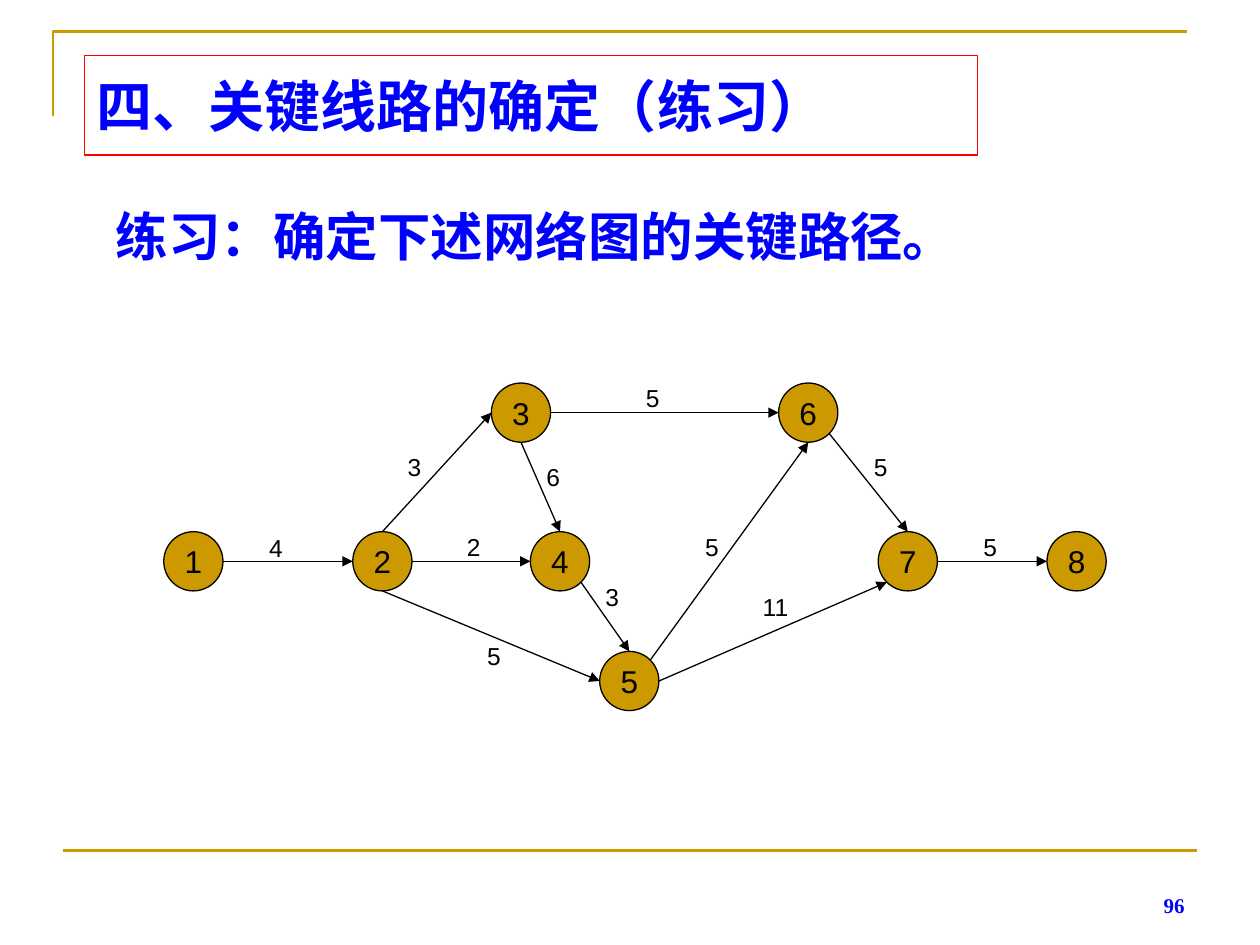
"""Build the critical path exercise slide with its activity network."""
import math
from dataclasses import dataclass
from typing import Any

import lxml.etree
import pptx
import pptx.dml.color
import pptx.enum.shapes
import pptx.enum.text
import pptx.oxml.ns
import pptx.util

Inches = pptx.util.Inches
Pt = pptx.util.Pt
Align = pptx.enum.text.PP_ALIGN
Anchor = pptx.enum.text.MSO_ANCHOR
Shape = pptx.enum.shapes.MSO_SHAPE

GOLD = pptx.dml.color.RGBColor(0xCC, 0x99, 0x00)
BLACK = pptx.dml.color.RGBColor(0x00, 0x00, 0x00)
BLUE = pptx.dml.color.RGBColor(0x00, 0x00, 0xFF)
RED = pptx.dml.color.RGBColor(0xFF, 0x00, 0x00)

DIAMETER = 0.47
DIAGONAL = math.sqrt(0.5)
LABEL_HEIGHT = 0.23
SIDES = {
    "left": (-1, 0),
    "right": (1, 0),
    "top": (0, -1),
    "bottom": (0, 1),
    "top right": (DIAGONAL, -DIAGONAL),
    "bottom right": (DIAGONAL, DIAGONAL),
    "bottom left": (-DIAGONAL, DIAGONAL),
}


@dataclass(frozen=True)
class TextStyle:
    size: float
    color: Any
    font: str = "Arial"
    bold: bool = False
    align: Any = Align.LEFT
    anchor: Any = Anchor.TOP
    wrap: bool = True
    inset_x: float = 0.1
    inset_y: float = 0.05


@dataclass(frozen=True)
class Node:
    name: str
    left: float
    top: float

    def point(self, side: str) -> tuple[float, float]:
        """Return the point of the circle on the given side."""
        across, down = SIDES[side]
        radius = DIAMETER / 2
        return self.left + radius * (1 + across), self.top + radius * (1 + down)


@dataclass(frozen=True)
class Activity:
    start: str
    start_side: str
    end: str
    end_side: str
    duration: str
    label_left: float
    label_top: float
    label_width: float = 0.2


TITLE = TextStyle(32, BLUE, bold=True, anchor=Anchor.MIDDLE)
QUESTION = TextStyle(30, BLUE, bold=True)
NUMBER = TextStyle(12, BLUE, "Times New Roman", True, Align.RIGHT, Anchor.BOTTOM)
NODE = TextStyle(18, BLACK, align=Align.CENTER, anchor=Anchor.MIDDLE, wrap=False)
DURATION = TextStyle(14, BLACK, align=Align.CENTER, inset_x=0, inset_y=0)

UPPER, MIDDLE, LOWER = 3.04, 4.22, 5.17
NODES = [
    Node("1", 1.3, MIDDLE),
    Node("2", 2.8, MIDDLE),
    Node("3", 3.9, UPPER),
    Node("4", 4.21, MIDDLE),
    Node("5", 4.76, LOWER),
    Node("6", 6.18, UPPER),
    Node("7", 6.97, MIDDLE),
    Node("8", 8.31, MIDDLE),
]
ACTIVITIES = [
    Activity("1", "right", "2", "left", "4", 2.09, 4.23),
    Activity("2", "top", "3", "left", "3", 3.19, 3.59),
    Activity("2", "right", "4", "left", "2", 3.66, 4.22),
    Activity("2", "bottom", "5", "left", "5", 3.82, 5.09),
    Activity("3", "bottom", "4", "top", "6", 4.29, 3.67),
    Activity("4", "bottom right", "5", "top", "3", 4.76, 4.62),
    Activity("3", "right", "6", "left", "5", 5.08, 3.04),
    Activity("5", "top right", "6", "bottom", "5", 5.55, 4.22),
    Activity("6", "bottom right", "7", "top", "5", 6.89, 3.59),
    Activity("5", "right", "7", "bottom left", "11", 6.02, 4.7, 0.27),
    Activity("7", "right", "8", "left", "5", 7.76, 4.22),
]


def write(box: Any, text: str, style: TextStyle) -> Any:
    """Write one styled paragraph into a box and return the paragraph."""
    frame = box.text_frame
    frame.word_wrap = style.wrap
    frame.vertical_anchor = style.anchor
    frame.margin_left = frame.margin_right = Inches(style.inset_x)
    frame.margin_top = frame.margin_bottom = Inches(style.inset_y)
    para = frame.paragraphs[0]
    para.alignment = style.align
    span = para.add_run()
    span.text = text
    span.font.name = style.font
    span.font.size = Pt(style.size)
    span.font.bold = style.bold
    span.font.color.rgb = style.color
    return para


def add_text(page: Any, area: tuple[float, ...], text: str, style: TextStyle) -> Any:
    """Add a text box and return its paragraph."""
    return write(page.shapes.add_textbox(*map(Inches, area)), text, style)


def add_shape(page: Any, kind: Any, area: tuple[float, ...], line: Any) -> Any:
    """Add an unfilled outlined shape without shadow."""
    shape = page.shapes.add_shape(kind, *map(Inches, area))
    shape.shadow.inherit = False
    shape.fill.background()
    shape.line.color.rgb = line
    shape.line.width = Pt(0.75)
    return shape


def add_line(page: Any, start: tuple[float, float], end: tuple[float, float],
             color: Any, width: float, arrow: bool = False) -> None:
    """Add a straight line, with an arrowhead at its end if wanted."""
    line = page.shapes.add_connector(
        pptx.enum.shapes.MSO_CONNECTOR.STRAIGHT, *map(Inches, (*start, *end)))
    line.line.color.rgb = color
    line.line.width = Pt(width)
    if arrow:
        lxml.etree.SubElement(
            line.line._get_or_add_ln(), pptx.oxml.ns.qn("a:tailEnd"), type="triangle")
    lxml.etree.SubElement(line._element.spPr, pptx.oxml.ns.qn("a:effectLst"))


def add_frame(page: Any) -> None:
    """Add the gold corner at the top and the gold rule at the bottom."""
    builder = page.shapes.build_freeform(Inches(0.42), Inches(0.92))
    builder.add_line_segments(
        [(Inches(0.42), Inches(0.25)), (Inches(9.42), Inches(0.25))], close=False)
    corner = builder.convert_to_shape()
    corner.shadow.inherit = False
    corner.fill.background()
    corner.line.color.rgb = GOLD
    corner.line.width = Pt(1.5)
    add_line(page, (0.5, 6.75), (9.5, 6.75), GOLD, 1.5)


def add_network(page: Any) -> None:
    """Add the nodes, the arrows between them and the durations."""
    nodes = {node.name: node for node in NODES}
    for node in NODES:
        circle = add_shape(
            page, Shape.OVAL, (node.left, node.top, DIAMETER, DIAMETER), BLACK)
        circle.fill.solid()
        circle.fill.fore_color.rgb = GOLD
        write(circle, node.name, NODE)
    for activity in ACTIVITIES:
        start = nodes[activity.start].point(activity.start_side)
        end = nodes[activity.end].point(activity.end_side)
        add_line(page, start, end, BLACK, 0.75, arrow=True)
    for activity in ACTIVITIES:
        area = (activity.label_left, activity.label_top,
                activity.label_width, LABEL_HEIGHT)
        add_text(page, area, activity.duration, DURATION)


def main() -> None:
    """Build and save the deck."""
    deck = pptx.Presentation()
    deck.slide_width, deck.slide_height = Inches(10), Inches(7.5)
    page = deck.slides.add_slide(deck.slide_layouts[6])
    add_frame(page)
    add_network(page)
    title = add_shape(page, Shape.RECTANGLE, (0.67, 0.44, 7.09, 0.79), RED)
    write(title, "四、关键线路的确定（练习）", TITLE)
    question = add_text(
        page, (0.82, 1.47, 8.59, 0.7), "练习：确定下述网络图的关键路径。", QUESTION)
    question.line_spacing = 1.2
    add_text(page, (7.17, 6.83, 2.33, 0.5), "96", NUMBER)
    deck.save("out.pptx")


if __name__ == "__main__":
    main()
